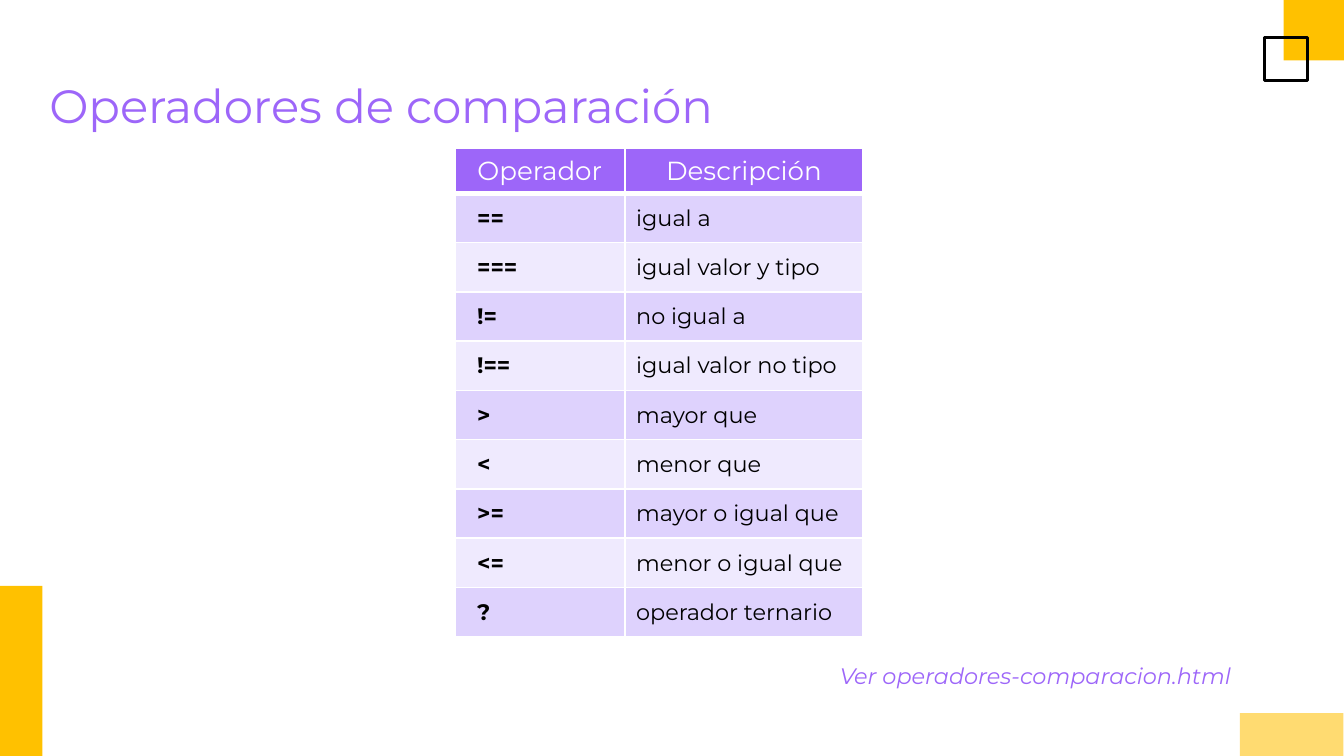
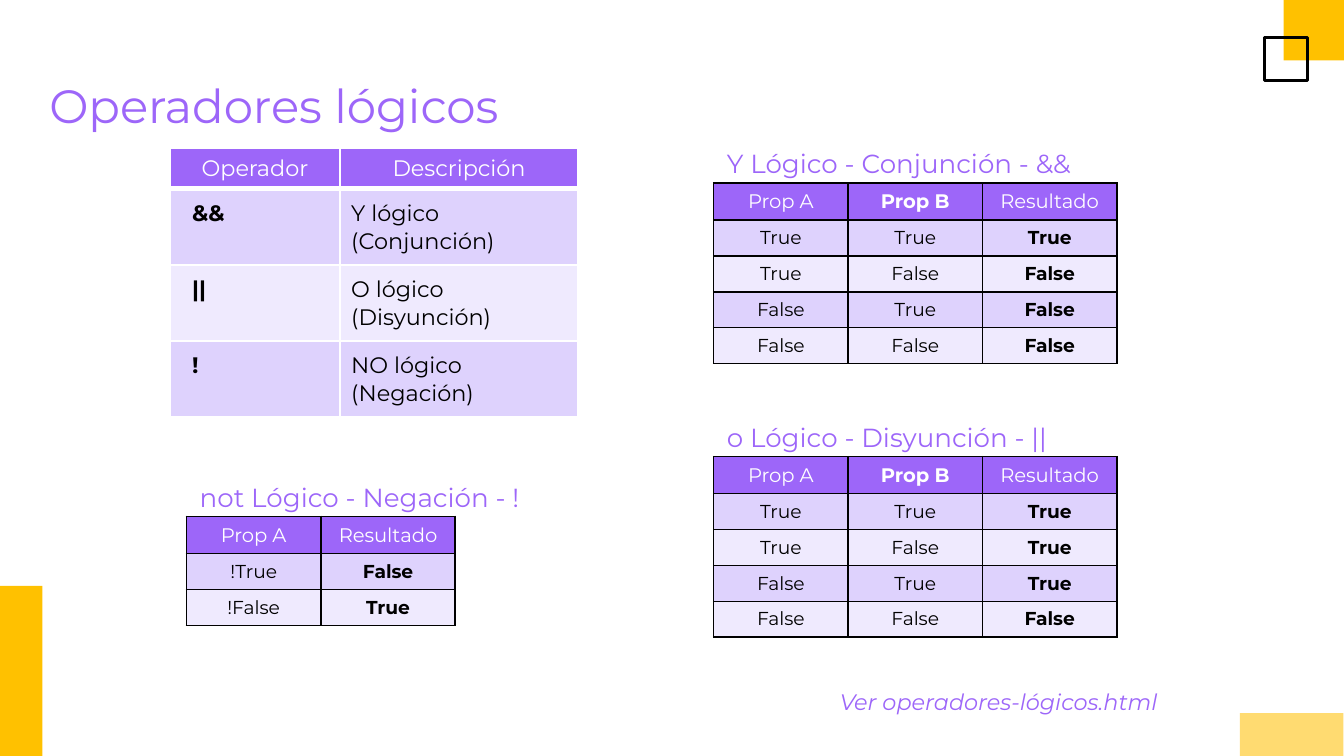
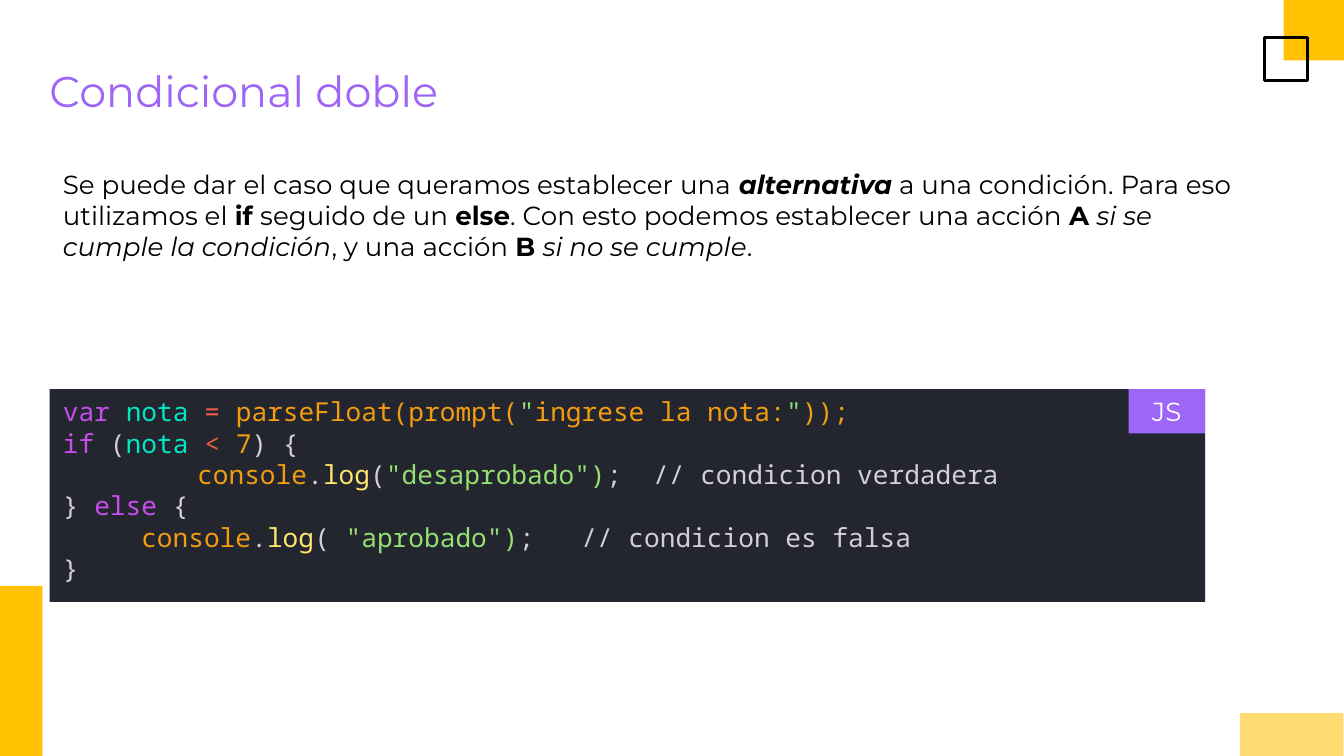
from dataclasses import dataclass
from typing import NamedTuple

from lxml.etree import SubElement
from pptx import Presentation
from pptx.dml.color import RGBColor
from pptx.enum.shapes import MSO_SHAPE
from pptx.enum.text import MSO_ANCHOR, PP_ALIGN
from pptx.oxml.ns import qn
from pptx.util import Pt

COLORS = {
    "purple": "9D66F9", "lilac": "DED2FD", "pale": "EFEAFE",
    "amber": "FFC100", "cream": "FFDB71", "white": "FFFFFF", "black": "000000",
    "editor": "23262E", "keyword": "C74DED", "variable": "00E8C6",
    "operator": "EE5D43", "call": "F39C12", "string": "96E072",
    "plain": "D5CED9", "method": "FFE66D",
}
TEXT_FONT, CODE_FONT = "Montserrat", "Noto Sans Mono"


class Area(NamedTuple):
    left: float
    top: float
    width: float
    height: float


class Insets(NamedTuple):
    left: float
    top: float
    right: float
    bottom: float


class Span(NamedTuple):
    text: str
    color: str = "black"
    bold: bool = False
    italic: bool = False


class CodeLine(NamedTuple):
    spans: list[Span]
    indent: float = 0


@dataclass(frozen=True)
class Block:
    area: Area
    fill: str | None = None
    line: str | None = None
    rotation: float = 0


@dataclass(frozen=True)
class TableStyle:
    columns: list[float]
    rows: tuple[float, float]  # header, body
    header_size: float
    body_size: float
    border: str
    header_rule: float
    bold_column: int
    align: PP_ALIGN
    first_insets: Insets
    body_insets: Insets


BOX_INSETS = Insets(7.2, 7.2, 7.2, 7.2)
TIGHT_INSETS = Insets(7.2, 3.6, 7.2, 3.6)
TITLE_AREA = Area(19.4, 33.8, 682, 45.4)
DECORATION = [
    Block(Area(687.6, 0, 32.4, 32.4), fill="amber"),
    Block(Area(0, 313.9, 22.7, 91.1), fill="amber"),
    Block(Area(677.6, 20.1, 23, 23), line="black"),
    Block(Area(680.4, 365.8, 23, 55.4), fill="cream", rotation=90),
]


def operator_style(header_size: float) -> TableStyle:
    return TableStyle([91.2, 127.6], (21.6, 21.6), header_size, 12, "white", 3, 0,
                      PP_ALIGN.LEFT, Insets(12, 6, 6, 6), Insets(6, 6, 6, 6))


def truth_style(columns: int) -> TableStyle:
    return TableStyle([72] * columns, (19.4, 18.9), 10.5, 10, "black", 1, columns - 1,
                      PP_ALIGN.CENTER, TIGHT_INSETS, TIGHT_INSETS)


# Content
COMPARISON = [
    ("Operador", "Descripción"),
    ("==", "igual a"), ("===", "igual valor y tipo"),
    ("!=", "no igual a"), ("!==", "igual valor no tipo"),
    (">", "mayor que"), ("<", "menor que"),
    (">=", "mayor o igual que"), ("<=", "menor o igual que"),
    ("?", "operador ternario"),
]
LOGICAL = [
    ("Operador", "Descripción"),
    ("&&", "Y lógico (Conjunción)"),
    ("||", "O lógico (Disyunción)"),
    ("!", "NO lógico (Negación)"),
]
NEGATION = [("Prop A", "Resultado"), ("!True", "False"), ("!False", "True")]


def binary_truth_table(results: list[bool]) -> list[tuple[str, ...]]:
    inputs = [(a, b) for a in (True, False) for b in (True, False)]
    rows = [(str(a), str(b), str(result)) for (a, b), result in zip(inputs, results)]
    return [("Prop A", "Prop B", "Resultado"), *rows]


EXPLANATION = [
    Span("Se puede dar el caso que queramos establecer una "),
    Span("alternativa", bold=True, italic=True),
    Span(" a una condición. Para eso utilizamos el "),
    Span("if ", bold=True),
    Span("seguido de un "),
    Span("else", bold=True),
    Span(". Con esto podemos establecer una acción "),
    Span("A ", bold=True),
    Span("si se cumple la condición", italic=True),
    Span(", y una acción "),
    Span("B ", bold=True),
    Span("si no se cumple", italic=True),
    Span("."),
]


def log_call(opening: str, message: str, comment: str) -> list[Span]:
    return [Span("console", "call"), Span(".", "plain"), Span("log", "method"),
            Span(opening, "plain"), Span(message, "string"), Span(comment, "plain")]


CODE = [
    CodeLine([Span("var ", "keyword"), Span("nota ", "variable"), Span("= ", "operator"),
              Span("parseFloat(prompt(", "call"), Span('"', "string"),
              Span("ingrese la nota:", "call"), Span('"', "string"), Span("));", "call")]),
    CodeLine([Span("if", "keyword"), Span(" (", "plain"), Span("nota ", "variable"),
              Span("< ", "operator"), Span("7", "call"), Span(") {", "plain")]),
    CodeLine(log_call("(", '"desaprobado")', ";  // condicion verdadera"), indent=72),
    CodeLine([Span("} ", "plain"), Span("else", "keyword"), Span(" {", "plain")]),
    CodeLine(log_call("( ", '"aprobado")', ";   // condicion es falsa"), indent=42),
    CodeLine([Span("}", "plain")]),
]


# Drawing helpers
def rgb(name: str) -> RGBColor:
    return RGBColor.from_string(COLORS[name])


def points(area: Area) -> list[Pt]:
    return [Pt(length) for length in area]


def set_insets(target, insets: Insets) -> None:
    target.margin_left, target.margin_top, target.margin_right, target.margin_bottom = (
        Pt(length) for length in insets)


def write_spans(para, spans: list[Span], size: float, font: str = TEXT_FONT) -> None:
    for span in spans:
        run = para.add_run()
        run.text = span.text
        run.font.name, run.font.size = font, Pt(size)
        run.font.bold, run.font.italic = span.bold, span.italic
        run.font.color.rgb = rgb(span.color)


def add_block(page, block: Block):
    box = page.shapes.add_shape(MSO_SHAPE.RECTANGLE, *points(block.area))
    box.shadow.inherit = False
    box.rotation = block.rotation
    if block.fill:
        box.fill.solid()
        box.fill.fore_color.rgb = rgb(block.fill)
    else:
        box.fill.background()
    if block.line:
        box.line.color.rgb = rgb(block.line)
        box.line.width = Pt(1.5)
    else:
        box.line.fill.background()
    return box


def add_text(page, area: Area, spans: list[Span], size: float) -> None:
    frame = page.shapes.add_textbox(*points(area)).text_frame
    frame.word_wrap = True
    set_insets(frame, BOX_INSETS)
    write_spans(frame.paragraphs[0], spans, size)


def add_note(page, top: float, text: str) -> None:
    add_text(page, Area(442.8, top, 229.7, 33.1), [Span(text, "purple", italic=True)], 12)


def add_caption(page, left: float, top: float, text: str) -> None:
    add_text(page, Area(left, top, 229.7, 26.6), [Span(text, "purple")], 14)


def set_borders(cell, color: str, top: float, bottom: float) -> None:
    properties = cell._tc.get_or_add_tcPr()
    for side, width in (("L", 1), ("R", 1), ("T", top), ("B", bottom)):
        line = SubElement(properties, qn(f"a:ln{side}"), w=str(Pt(width)))
        fill = SubElement(line, qn("a:solidFill"))
        SubElement(fill, qn("a:srgbClr"), val=COLORS[color])


def add_grid(page, left: float, top: float, rows: list[tuple[str, ...]],
             style: TableStyle) -> None:
    header_height, body_height = style.rows
    height = header_height + body_height * (len(rows) - 1)
    area = Area(left, top, sum(style.columns), height)
    table = page.shapes.add_table(len(rows), len(style.columns), *points(area)).table
    table.horz_banding = False
    for column, width in zip(table.columns, style.columns):
        column.width = Pt(width)
    for r, texts in enumerate(rows):
        header = r == 0
        table.rows[r].height = Pt(header_height if header else body_height)
        fill = "purple" if header else "lilac" if r % 2 else "pale"
        for c, text in enumerate(texts):
            cell = table.cell(r, c)
            set_borders(cell, style.border,
                        top=style.header_rule if r == 1 else 1,
                        bottom=style.header_rule if header else 1)
            cell.fill.solid()
            cell.fill.fore_color.rgb = rgb(fill)
            para = cell.text_frame.paragraphs[0]
            if header:
                set_insets(cell, TIGHT_INSETS)
                para.alignment = PP_ALIGN.CENTER
                span = Span(text, "white", bold=text == "Prop B")
                write_spans(para, [span], style.header_size)
            else:
                set_insets(cell, style.body_insets if c else style.first_insets)
                para.alignment = style.align
                span = Span(text, bold=c == style.bold_column)
                write_spans(para, [span], style.body_size)


def add_code(page, area: Area, lines: list[CodeLine]) -> None:
    frame = add_block(page, Block(area, fill="editor")).text_frame
    frame.word_wrap = True
    frame.vertical_anchor = MSO_ANCHOR.TOP
    set_insets(frame, TIGHT_INSETS)
    for index, line in enumerate(lines):
        para = frame.add_paragraph() if index else frame.paragraphs[0]
        para.alignment = PP_ALIGN.LEFT
        para.line_spacing = Pt(16.8)
        if line.indent:
            para._p.get_or_add_pPr().set("marL", str(Pt(line.indent)))
        write_spans(para, line.spans, 14, CODE_FONT)


def add_badge(page, area: Area, text: str) -> None:
    frame = add_block(page, Block(area, fill="purple")).text_frame
    frame.vertical_anchor = MSO_ANCHOR.MIDDLE
    set_insets(frame, BOX_INSETS)
    para = frame.paragraphs[0]
    para.alignment = PP_ALIGN.CENTER
    write_spans(para, [Span(text, "white")], 14)


def add_page(deck, title: str, area: Area = TITLE_AREA, size: float = 25):
    page = deck.slides.add_slide(deck.slide_layouts[6])
    for block in DECORATION:
        add_block(page, block)
    add_text(page, area, [Span(title, "purple")], size)
    return page


# Slides
def build_comparison(deck) -> None:
    page = add_page(deck, "Operadores de comparación")
    add_grid(page, 243.6, 79.5, COMPARISON, operator_style(14))
    add_note(page, 347.8, "Ver operadores-comparacion.html")


def build_logical(deck) -> None:
    page = add_page(deck, "Operadores lógicos")
    add_grid(page, 91, 79.5, LOGICAL, operator_style(12))
    add_note(page, 361.4, "Ver operadores-lógicos.html")
    truth_tables = [
        (382.3, 98, "Y Lógico - Conjunción - &&",
         binary_truth_table([True, False, False, False])),
        (382.3, 244.6, "o Lógico - Disyunción - ||",
         binary_truth_table([True, True, True, False])),
        (99.9, 276.7, "not Lógico - Negación - !", NEGATION),
    ]
    for left, top, caption, rows in truth_tables:
        add_grid(page, left, top, rows, truth_style(len(rows[0])))
        add_caption(page, left, top - 26.2, caption)


def build_conditional(deck) -> None:
    page = add_page(deck, "Condicional doble", Area(19.4, 27.4, 682, 29.5), 23)
    add_text(page, Area(26.6, 82.8, 640.8, 68.4), EXPLANATION, 14)
    add_code(page, Area(26.6, 208.5, 619, 114), CODE)
    add_badge(page, Area(604.6, 208.5, 41, 23.7), "JS")


def main() -> None:
    deck = Presentation()
    deck.slide_width, deck.slide_height = Pt(720), Pt(405)
    build_comparison(deck)
    build_logical(deck)
    build_conditional(deck)
    deck.save("out.pptx")


if __name__ == "__main__":
    main()
